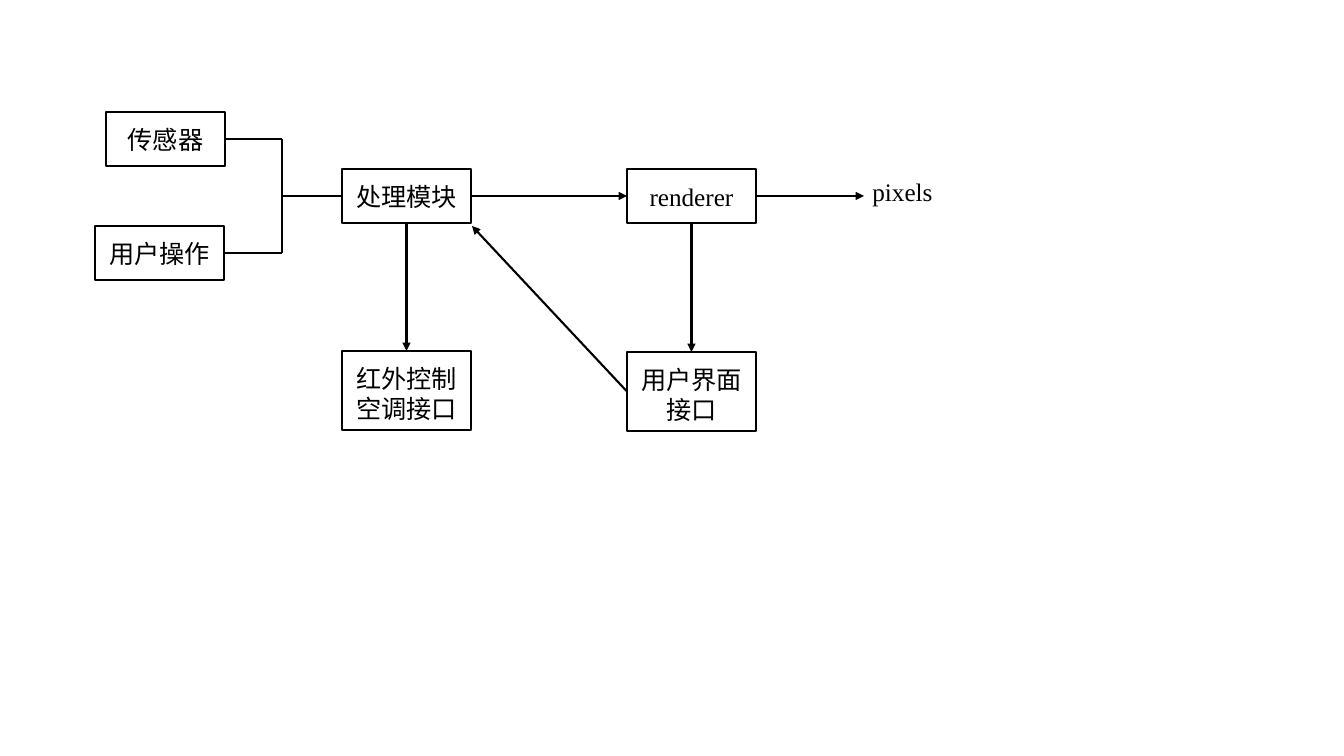
from pptx import Presentation
from pptx.dml.color import RGBColor
from pptx.enum.shapes import MSO_CONNECTOR, MSO_SHAPE
from pptx.enum.text import MSO_ANCHOR, PP_ALIGN
from pptx.oxml.ns import qn
from pptx.util import Pt
from lxml import etree

RECTANGLE, STRAIGHT = MSO_SHAPE.RECTANGLE, MSO_CONNECTOR.STRAIGHT
TOP_ANCHOR, CENTER = MSO_ANCHOR.TOP, PP_ALIGN.CENTER
TOP, LEFT, BOTTOM, RIGHT = range(4)
PX = 914400 / 100.8
BLACK = RGBColor.from_string("000000")

prs = Presentation()
prs.slide_width, prs.slide_height = round(1344 * PX), round(756 * PX)
slide = prs.slides.add_slide(prs.slide_layouts[6])


def write_label(shape, label, margin_top):
    frame = shape.text_frame
    frame.text = label
    frame.word_wrap = True
    frame.vertical_anchor = TOP_ANCHOR
    frame.margin_top = round(margin_top * PX)
    frame.margin_left = frame.margin_right = round(10 * PX)
    paragraph = frame.paragraphs[0]
    paragraph.alignment = CENTER
    font = paragraph.runs[0].font
    font.name, font.size = "Times New Roman", Pt(18)
    font.color.rgb = BLACK


# Modules: label, left, top, width, height
modules = {}
for label, *bounds in [
    ("传感器", 106, 112, 119, 54),
    ("用户操作", 95, 226, 129, 54),
    ("处理模块", 342, 169, 129, 54),
    ("红外控制空调接口", 342, 351, 129, 79),
    ("用户界面接口", 627, 352, 129, 79),
    ("renderer", 627, 169, 129, 54),
]:
    module = slide.shapes.add_shape(RECTANGLE, *(round(v * PX) for v in bounds))
    module.shadow.inherit = False
    module.fill.background()
    module.line.color.rgb = BLACK
    module.line.width = Pt(1.5)
    write_label(module, label, 12)
    modules[label] = module

# Output label
pixels = slide.shapes.add_textbox(*(round(v * PX) for v in (838, 171, 129, 40)))
write_label(pixels, "pixels", 5)

# Links: start, end, arrowhead; an end is a point or a module's side
for start, end, arrow in [
    (("传感器", RIGHT), (282, 139), False),
    (("用户操作", RIGHT), (282, 253), False),
    ((282, 139), (282, 253), False),
    ((282, 196), ("处理模块", LEFT), False),
    (("处理模块", BOTTOM), ("红外控制空调接口", TOP), True),
    (("renderer", BOTTOM), ("用户界面接口", TOP), True),
    (("处理模块", RIGHT), ("renderer", LEFT), True),
    (("renderer", RIGHT), (864, 196), True),
    (("用户界面接口", LEFT), (472, 226), True),
]:
    points = [(0, 0) if p[0] in modules else p for p in (start, end)]
    link = slide.shapes.add_connector(
        STRAIGHT, *(round(v * PX) for point in points for v in point))
    if start[0] in modules:
        link.begin_connect(modules[start[0]], start[1])
    if end[0] in modules:
        link.end_connect(modules[end[0]], end[1])
    link.line.color.rgb = BLACK
    link.line.width = Pt(1.5)
    if arrow:
        etree.SubElement(link.line._get_or_add_ln(), qn("a:tailEnd"), type="triangle")
    etree.SubElement(link._element.spPr, qn("a:effectLst"))

prs.save("out.pptx")
